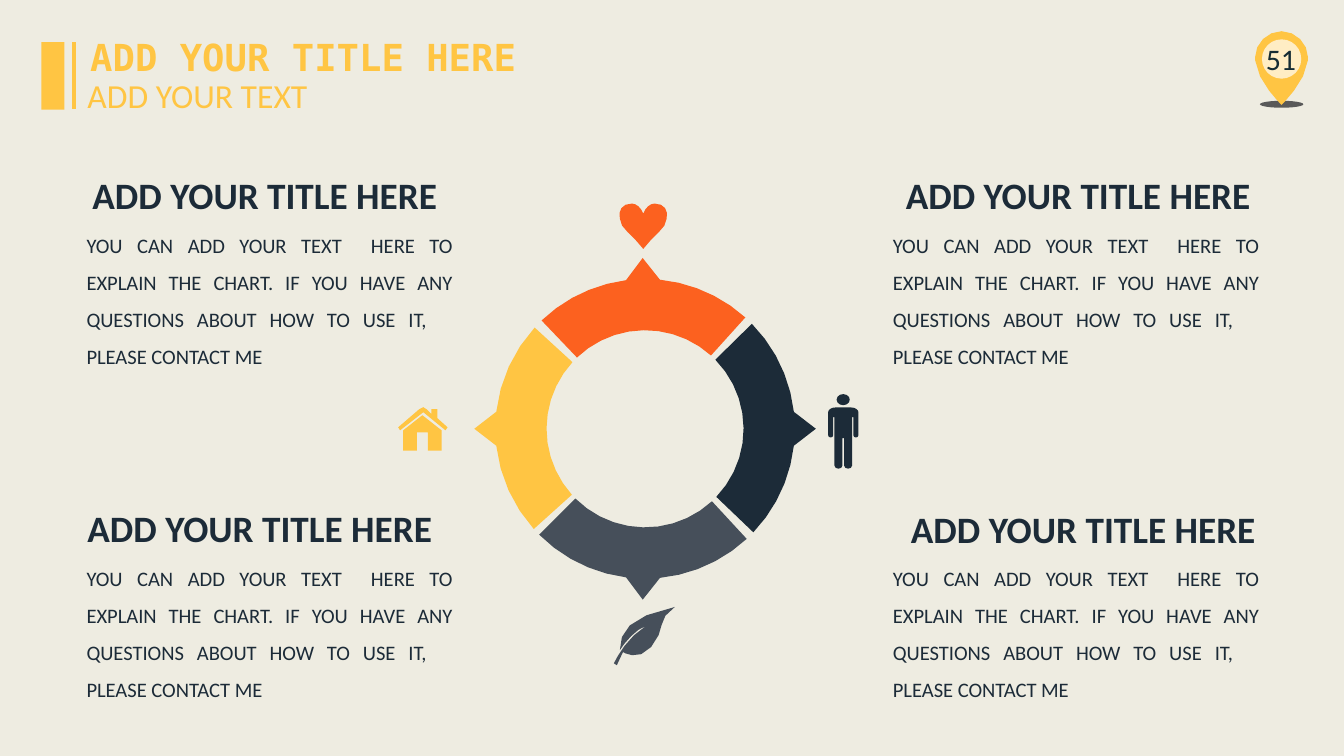
from dataclasses import dataclass
from math import ceil, cos, radians, sin

from lxml import etree
from pptx import Presentation
from pptx.dml.color import RGBColor
from pptx.enum.shapes import MSO_CONNECTOR, MSO_SHAPE
from pptx.enum.text import MSO_ANCHOR, MSO_AUTO_SIZE, PP_ALIGN
from pptx.oxml.ns import qn
from pptx.util import Pt

OVAL = MSO_SHAPE.OVAL
RECTANGLE = MSO_SHAPE.RECTANGLE
STRAIGHT = MSO_CONNECTOR.STRAIGHT
TOP, MIDDLE = MSO_ANCHOR.TOP, MSO_ANCHOR.MIDDLE
FIT_SHAPE, NO_FIT = MSO_AUTO_SIZE.SHAPE_TO_FIT_TEXT, MSO_AUTO_SIZE.NONE
LEFT, CENTER, JUSTIFY = PP_ALIGN.LEFT, PP_ALIGN.CENTER, PP_ALIGN.JUSTIFY


@dataclass(frozen=True)
class Theme:
    paper: str = "EEECE1"
    yellow: str = "FFC543"
    orange: str = "FC611F"
    navy: str = "1C2B38"
    slate: str = "464F5A"
    shadow: str = "595959"
    white: str = "FFFFFF"
    number: str = "152C34"
    font: str = "Calibri"
    title_font: str = "DejaVu Sans Mono"
    heading_size: float = 26.65
    subtitle_size: float = 24
    number_size: float = 21.3
    body_size: float = 14.65


THEME = Theme()
HEADING = "ADD YOUR TITLE HERE"
BODY = ("YOU CAN ADD YOUR TEXT  HERE TO EXPLAIN THE CHART. IF YOU HAVE ANY "
        "QUESTIONS ABOUT HOW TO USE IT,   PLEASE CONTACT ME")

RING_CENTER = (460.8, 306.3)
INNER_RADIUS, OUTER_RADIUS, TIP_RADIUS = 70.4, 107, 122
TIP_HALF_ANGLE = 6.5
ARC_STEP = 9
CURVE_STEPS = 4
RING = [
    (THEME.yellow, 138, 180, 222.5),
    (THEME.slate, 47.3, 90.8, 135),
    (THEME.orange, 226.3, 269.2, 312),
    (THEME.navy, -44.5, 0, 43.7),
]
TEXT_BLOCKS = [
    ((57.6, 119.5), (54.7, 154)),
    ((638.6, 119.5), (630.7, 154)),
    ((54, 357), (54.7, 392)),
    ((642.2, 358), (630.7, 392)),
]

PIN_HALF = [(0, 22.3), (-10.1, 22.3, -18.9, 31, -18.9, 41), (-18.8, 43.2),
            (-17.5, 58.3, 0, 74.9, 0, 74.9)]
HEART_HALF = [(0, 152.6), (-1.5, 148.3, -5, 145.4, -8.1, 145.4),
              (-15.3, 145.4, -18, 150.5, -16.7, 156.2),
              (-16.7, 163.4, -7.2, 167.8, 0, 177.8)]
PERSON_HALF = [(0, 291), (-5, 291), (-9, 291, -10.8, 293, -10.8, 294.5),
               (-10.8, 311), (-10.8, 313, -7.2, 313, -7.2, 311),
               (-7.2, 298), (-6.3, 298), (-6.3, 332.6),
               (-6.3, 335.5, -0.6, 335.5, -0.6, 332.6), (-0.6, 313), (0, 313)]
WALLS_HALF = [(0, 296.6), (-13.7, 307.4), (-13.7, 321.8), (-4, 321.8),
              (-4, 308.9), (0, 308.9)]
ROOF = [(312.5, 298.8), (312.5, 292.3), (308.2, 292.3), (308.2, 295.9),
        (304.6, 292.3), (302.4, 290.9), (299.5, 292.3), (284.4, 305.3),
        (285.8, 307.4), (302.4, 294.5), (318.2, 307.4), (319.7, 305.3)]
LEAF = [(438.5, 473.8), (440.6, 475.2), (445, 465.8),
        (445, 465.8, 455.8, 473, 465.1, 462.2),
        (475.9, 450, 468.7, 442, 482, 433.6),
        (448.6, 440.6, 442.8, 451.4, 442.8, 464.4),
        (446.4, 458.6, 454.3, 449.3, 461.5, 447.1),
        (448.6, 455, 441.4, 468, 438.5, 473.8)]


def color(code):
    return RGBColor.from_string(code)


def paint(shape, code):
    shape.shadow.inherit = False
    shape.fill.solid()
    shape.fill.fore_color.rgb = color(code)
    shape.line.fill.background()


def add_preset(page, kind, box, code):
    shape = page.shapes.add_shape(kind, *map(Pt, box))
    paint(shape, code)
    return shape


def add_outline(page, points, code):
    scaled = [(Pt(x), Pt(y)) for x, y in points]
    builder = page.shapes.build_freeform(*scaled[0], scale=1.0)
    builder.add_line_segments(scaled[1:], close=True)
    paint(builder.convert_to_shape(), code)


def trace(steps):
    points = [steps[0]]
    for step in steps[1:]:
        if len(step) == 2:
            points.append(step)
            continue
        controls = [points[-1], step[:2], step[2:4], step[4:]]
        for index in range(1, CURVE_STEPS + 1):
            t = index / CURVE_STEPS
            weights = ((1 - t) ** 3, 3 * t * (1 - t) ** 2, 3 * t * t * (1 - t), t ** 3)
            points.append(tuple(sum(w * c[axis] for w, c in zip(weights, controls))
                                for axis in (0, 1)))
    return points


def mirror(steps, axis):
    half = trace(steps)
    return ([(axis + x, y) for x, y in half]
            + [(axis - x, y) for x, y in reversed(half[1:-1])])


def polar(radius, angle):
    x, y = RING_CENTER
    return x + radius * cos(radians(angle)), y + radius * sin(radians(angle))


def arc(radius, start, end):
    count = ceil(abs(end - start) / ARC_STEP)
    return [polar(radius, start + (end - start) * index / count)
            for index in range(count + 1)]


def add_ring_part(page, code, start, middle, end):
    points = (arc(OUTER_RADIUS, start, middle - TIP_HALF_ANGLE)
              + [polar(TIP_RADIUS, middle)]
              + arc(OUTER_RADIUS, middle + TIP_HALF_ANGLE, end)
              + arc(INNER_RADIUS, end, start))
    add_outline(page, points, code)


def write(shape, text, size, code, align=CENTER, font=THEME.font, bold=False,
          wrap=False, spacing=None, anchor=TOP, fit=FIT_SHAPE):
    frame = shape.text_frame
    frame.word_wrap = wrap
    frame.auto_size = fit
    frame.vertical_anchor = anchor
    para = frame.paragraphs[0]
    para.alignment = align
    para.line_spacing = spacing
    span = para.add_run()
    span.text = text
    span.font.name = font
    span.font.size = Pt(size)
    span.font.bold = bold
    span.font.color.rgb = color(code)


def add_text(page, box, text, size, code, **style):
    write(page.shapes.add_textbox(*map(Pt, box)), text, size, code, **style)


def add_header(page):
    add_preset(page, RECTANGLE, (29.5, 30.2, 16.6, 48.2), THEME.yellow)
    rule = page.shapes.add_connector(STRAIGHT, Pt(52.6), Pt(30.2), Pt(52.6), Pt(78))
    rule.line.color.rgb = color(THEME.yellow)
    rule.line.width = Pt(3)
    etree.SubElement(rule._element.spPr, qn("a:effectLst"))
    title = page.shapes.title
    title.left, title.top, title.width, title.height = map(Pt, (51.8, 20.9, 330, 39.6))
    write(title, HEADING, THEME.heading_size, THEME.yellow,
          font=THEME.title_font, bold=True, spacing=1.0)
    add_text(page, (55.4, 50, 173.5, 36), "ADD YOUR TEXT",
             THEME.subtitle_size, THEME.yellow, align=LEFT)


def add_page_pin(page):
    add_preset(page, OVAL, (900, 72, 31, 5), THEME.shadow)
    add_outline(page, mirror(PIN_HALF, 915.4), THEME.yellow)
    disc = add_preset(page, OVAL, (901.4, 28.1, 28.1, 28.1), THEME.white)
    tint = disc._element.spPr.find(qn("a:solidFill"))[0]
    etree.SubElement(tint, qn("a:alpha"), val="69000")
    add_text(page, (803, 27.4, 224, 28.8), "51", THEME.number_size, THEME.number,
             wrap=True, anchor=MIDDLE, fit=NO_FIT)


def add_icons(page):
    add_outline(page, mirror(WALLS_HALF, 301.7), THEME.yellow)
    add_outline(page, ROOF, THEME.yellow)
    add_outline(page, mirror(PERSON_HALF, 602.4), THEME.navy)
    add_preset(page, OVAL, (597.6, 281.5, 9.4, 7.9), THEME.navy)
    add_outline(page, trace(LEAF), THEME.slate)
    add_outline(page, mirror(HEART_HALF, 459.5), THEME.orange)


def add_text_block(page, heading_at, body_at):
    add_text(page, (*body_at, 275.4, 113.8), BODY, THEME.body_size, THEME.navy,
             align=JUSTIFY, wrap=True, spacing=1.5)
    add_text(page, (*heading_at, 263.5, 39.6), HEADING, THEME.heading_size,
             THEME.navy, bold=True)


def main():
    deck = Presentation()
    deck.slide_width, deck.slide_height = Pt(960), Pt(540)
    page = deck.slides.add_slide(deck.slide_layouts[5])
    page.background.fill.solid()
    page.background.fill.fore_color.rgb = color(THEME.paper)
    add_page_pin(page)
    for part in RING:
        add_ring_part(page, *part)
    add_icons(page)
    for heading_at, body_at in TEXT_BLOCKS:
        add_text_block(page, heading_at, body_at)
    add_header(page)
    deck.save("out.pptx")


if __name__ == "__main__":
    main()
